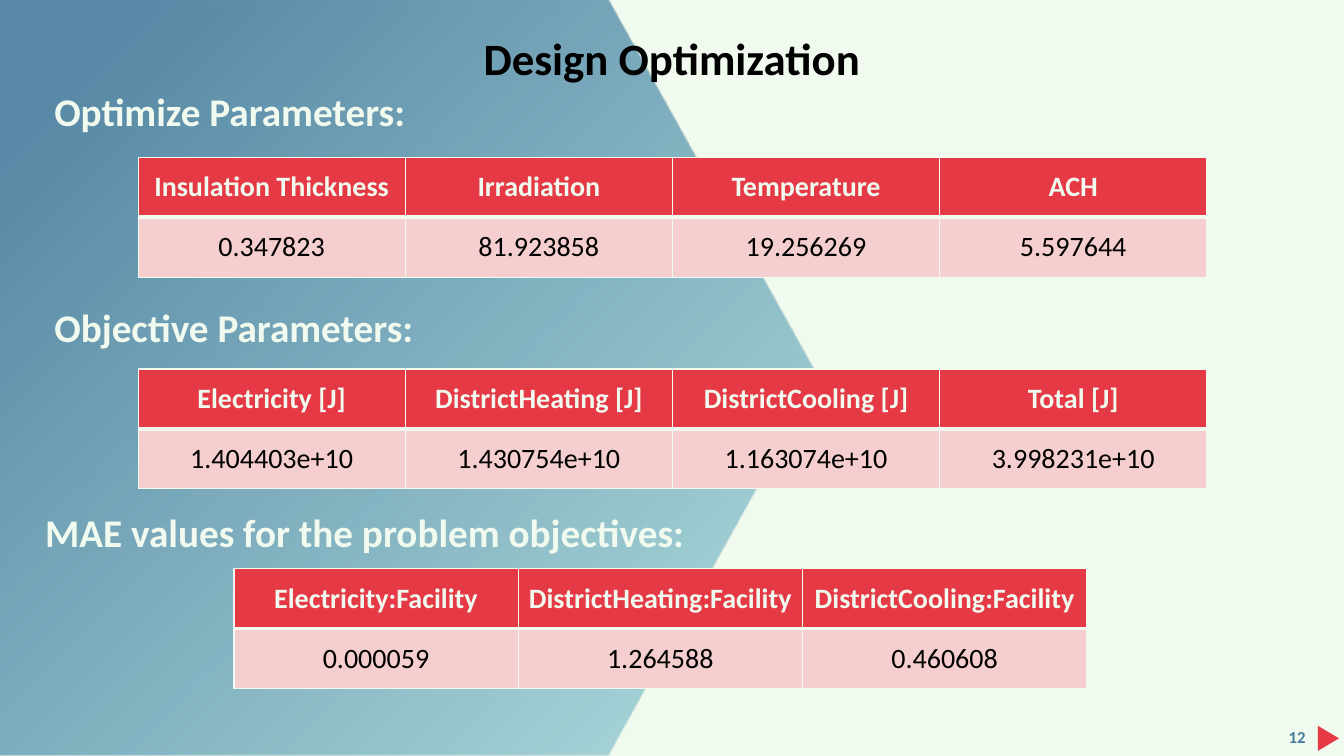
from lxml import etree
from pptx import Presentation, util as u
from pptx.dml.color import RGBColor
from pptx.enum import shapes, text
from pptx.oxml import ns

COLORS = {
    "mint": "F1FAEE", "steel": "457B9D", "aqua": "A8DADC",
    "red": "E63946", "pink": "F5CECF", "black": "000000",
}
FONT = "Calibri"
CENTER, JUSTIFY = text.PP_ALIGN.CENTER, text.PP_ALIGN.JUSTIFY

# text, (left, top, width, height), size, color, alignment
LABELS = [
    ("Design Optimization", (3.98, 0.28, 5.37, 0.59), 32, "black", CENTER),
    ("Optimize Parameters:", (0.44, 0.82, 3.76, 0.57), 28, "mint", JUSTIFY),
    ("Objective Parameters:", (0.44, 2.96, 4.05, 0.57), 28, "mint", JUSTIFY),
    ("MAE values for the problem objectives:", (0.35, 4.99, 6.83, 0.57), 28, "mint", JUSTIFY),
    ("12", (12.6, 7.16, 0.53, 0.3), 12, "steel", CENTER),
]
# left, top, column width, rows
TABLES = [
    (1.37, 1.56, 2.65, [
        ("Insulation Thickness", "Irradiation", "Temperature", "ACH"),
        ("0.347823", "81.923858", "19.256269", "5.597644")]),
    (1.37, 3.66, 2.65, [
        ("Electricity [J]", "DistrictHeating [J]", "DistrictCooling [J]", "Total [J]"),
        ("1.404403e+10", "1.430754e+10", "1.163074e+10", "3.998231e+10")]),
    (2.32, 5.64, 2.82, [
        ("Electricity:Facility", "DistrictHeating:Facility", "DistrictCooling:Facility"),
        ("0.000059", "1.264588", "0.460608")]),
]
ROW_HEIGHT = 0.595


def rgb(name):
    return RGBColor.from_string(COLORS[name])


def inches(values):
    return [u.Inches(value) for value in values]


def write(para, words, size, color, bold, align):
    para.alignment = align
    span = para.add_run()
    span.text = words
    span.font.name, span.font.size, span.font.bold = FONT, u.Pt(size), bold
    span.font.color.rgb = rgb(color)


def add_label(page, words, place, size, color, align):
    box = page.shapes.add_textbox(*inches(place))
    frame = box.text_frame
    frame.word_wrap = True
    if size == 32:
        frame.margin_left = frame.margin_right = u.Inches(0.05)
        frame.margin_top = frame.margin_bottom = u.Inches(0.02)
    write(frame.paragraphs[0], words, size, color, True, align)


def set_border(cell, side, width):
    line = etree.SubElement(cell._tc.get_or_add_tcPr(), ns.qn("a:ln" + side), w=str(u.Pt(width)))
    fill = etree.SubElement(line, ns.qn("a:solidFill"))
    etree.SubElement(fill, ns.qn("a:srgbClr"), val=COLORS["mint"])


def add_value_table(page, left, top, column_width, rows):
    count = len(rows[0])
    place = inches((left, top, column_width * count, ROW_HEIGHT * len(rows)))
    table = page.shapes.add_table(len(rows), count, *place).table
    for column in table.columns:
        column.width = u.Inches(column_width)
    for r, row in enumerate(rows):
        table.rows[r].height = u.Inches(ROW_HEIGHT)
        header = r == 0
        thick = "B" if header else "T"
        for c, words in enumerate(row):
            cell = table.cell(r, c)
            for side in "LRTB":
                set_border(cell, side, 3 if side == thick else 1)
            cell.fill.solid()
            cell.fill.fore_color.rgb = rgb("red" if header else "pink")
            cell.vertical_anchor = text.MSO_ANCHOR.MIDDLE
            write(cell.text_frame.paragraphs[0], words, 20,
                  "mint" if header else "black", header, CENTER)


def add_backdrop(page):
    arrow = page.shapes.add_shape(shapes.MSO_SHAPE.PENTAGON, *inches((0, 0, 8.12, 7.5)))
    arrow.adjustments[0] = 0.278
    arrow.shadow.inherit = False
    arrow.line.fill.background()
    arrow.fill.gradient()
    arrow.fill.gradient_angle = 315
    stops = zip(arrow.fill.gradient_stops, ((0.1, "steel"), (1, "aqua")))
    for stop, (position, color) in stops:
        stop.position = position
        stop.color.rgb = rgb(color)
    for tint in arrow._element.spPr.iter(ns.qn("a:srgbClr")):
        etree.SubElement(tint, ns.qn("a:alpha"), val="88000")


def add_corner_mark(page):
    mark = page.shapes.add_shape(
        shapes.MSO_SHAPE.ISOSCELES_TRIANGLE, *inches((13.05, 7.22, 0.25, 0.21)))
    mark.rotation = 90
    mark.shadow.inherit = False
    mark.line.fill.background()
    mark.fill.solid()
    mark.fill.fore_color.rgb = rgb("red")


def main():
    deck = Presentation()
    deck.slide_width, deck.slide_height = u.Inches(13.33), u.Inches(7.5)
    page = deck.slides.add_slide(deck.slide_layouts[6])
    page.background.fill.solid()
    page.background.fill.fore_color.rgb = rgb("mint")
    add_backdrop(page)
    add_corner_mark(page)
    for table in TABLES:
        add_value_table(page, *table)
    for label in LABELS:
        add_label(page, *label)
    deck.save("out.pptx")


if __name__ == "__main__":
    main()
